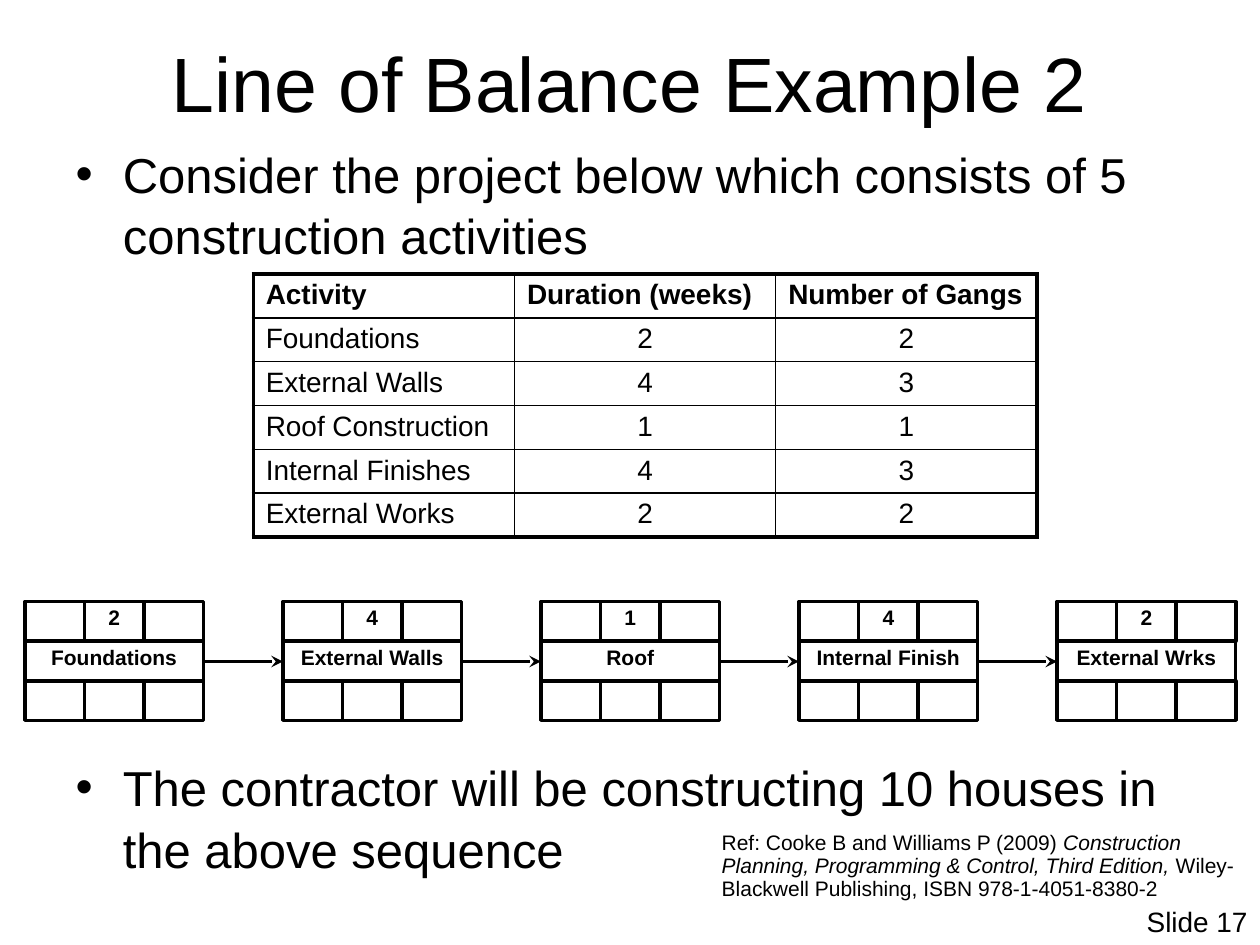
from lxml.etree import SubElement
from pptx import Presentation
from pptx.dml.color import RGBColor
from pptx.enum.shapes import MSO_CONNECTOR, MSO_SHAPE
from pptx.enum.text import MSO_ANCHOR, MSO_AUTO_SIZE, PP_ALIGN
from pptx.oxml.ns import qn
from pptx.util import Inches, Pt

BLACK = RGBColor(0, 0, 0)
COLUMNS, ROWS = 100, 75
SLIDE_WIDTH, SLIDE_HEIGHT = Inches(10), Inches(7.5)

TITLE = {"size": Pt(44)}
BULLET = {"size": Pt(28)}
TABLE_HEAD = {"size": Pt(16), "bold": True}
TABLE_BODY = {"size": Pt(16), "bold": False}
NODE_LABEL = {"size": Pt(12), "bold": True}
REFERENCE = {"size": Pt(12)}
CITED_TITLE = {"size": Pt(12), "italic": True}
SLIDE_NUMBER = {"size": Pt(16)}

SCHEDULE = [
    ("Activity", "Duration (weeks)", "Number of Gangs"),
    ("Foundations", "2", "2"),
    ("External Walls", "4", "3"),
    ("Roof Construction", "1", "1"),
    ("Internal Finishes", "4", "3"),
    ("External Works", "2", "2"),
]
SEQUENCE = [
    ("Foundations", "2"),
    ("External Walls", "4"),
    ("Roof", "1"),
    ("Internal Finish", "4"),
    ("External Wrks", "2"),
]
NODE_LEFT, NODE_TOP, NODE_PITCH = 1.97, 47.75, 20.48
BOX_WIDTH, BOX_HEIGHT = 4.73, 3.14
NODE_WIDTH = 3 * BOX_WIDTH


def across(columns):
    return round(SLIDE_WIDTH * columns / COLUMNS)


def down(rows):
    return round(SLIDE_HEIGHT * rows / ROWS)


def area(left, top, width, height):
    return across(left), down(top), across(width), down(height)


def apply(target, values):
    for name, value in values.items():
        setattr(target, name, value)


def write(paragraph, text, font, **layout):
    run = paragraph.add_run()
    run.text = text
    apply(run.font, {"name": "Arial", **font})
    run.font.color.rgb = BLACK
    apply(paragraph, layout)


def place(placeholder, left, top, width, height, anchor):
    edges = zip(("left", "top", "width", "height"), area(left, top, width, height))
    apply(placeholder, dict(edges))
    frame = placeholder.text_frame
    apply(frame, {"auto_size": MSO_AUTO_SIZE.NONE, "vertical_anchor": anchor})
    return frame


def add_note(slide, bounds, pieces, **layout):
    frame = slide.shapes.add_textbox(*area(*bounds)).text_frame
    frame.word_wrap = True
    for text, font in pieces:
        write(frame.paragraphs[0], text, font, line_spacing=0.9, **layout)


def add_border(cell, side, points):
    border = SubElement(cell._tc.get_or_add_tcPr(), qn(f"a:ln{side}"), w=str(Pt(points)))
    fill = SubElement(border, qn("a:solidFill"))
    SubElement(fill, qn("a:srgbClr"), val=str(BLACK))


def add_schedule(slide):
    last_row, last_column = len(SCHEDULE) - 1, len(SCHEDULE[0]) - 1
    bounds = area(20.1, 21.75, 62.2, 20.88)
    table = slide.shapes.add_table(last_row + 1, last_column + 1, *bounds).table
    apply(table, {"first_row": False, "horz_banding": False})
    for r, entries in enumerate(SCHEDULE):
        for c, text in enumerate(entries):
            cell = table.cell(r, c)
            apply(cell, {"margin_top": down(0.45), "margin_bottom": down(0.45)})
            outer = {"L": c == 0, "R": c == last_column, "T": r == 0, "B": r == last_row}
            for side, is_outer in outer.items():
                add_border(cell, side, 2.25 if is_outer else 1)
            cell.fill.background()
            centred = r > 0 and c > 0
            write(
                cell.text_frame.paragraphs[0],
                text,
                TABLE_BODY if r else TABLE_HEAD,
                alignment=PP_ALIGN.CENTER if centred else PP_ALIGN.LEFT,
            )


def add_box(slide, left, top, width, label=""):
    bounds = area(left, top, width, BOX_HEIGHT)
    box = slide.shapes.add_shape(MSO_SHAPE.RECTANGLE, *bounds)
    box.shadow.inherit = False
    box.fill.background()
    box.line.color.rgb = BLACK
    box.line.width = Pt(2)
    if label:
        frame = box.text_frame
        apply(frame, {"vertical_anchor": MSO_ANCHOR.TOP, "margin_left": 0, "margin_right": 0})
        write(frame.paragraphs[0], label, NODE_LABEL,
              alignment=PP_ALIGN.CENTER, line_spacing=0.9)


def add_node(slide, left, activity, weeks):
    add_box(slide, left, NODE_TOP + BOX_HEIGHT, NODE_WIDTH, activity)
    for row, labels in ((0, ("", weeks, "")), (2, ("", "", ""))):
        for column, label in enumerate(labels):
            add_box(slide, left + column * BOX_WIDTH, NODE_TOP + row * BOX_HEIGHT,
                    BOX_WIDTH, label)


def add_arrow(slide, start, end, level):
    arrow = slide.shapes.add_connector(
        MSO_CONNECTOR.STRAIGHT, across(start), down(level), across(end), down(level)
    )
    arrow.line.color.rgb = BLACK
    arrow.line.width = Pt(2.25)
    SubElement(arrow.line._get_or_add_ln(), qn("a:tailEnd"), type="stealth")
    SubElement(arrow._element.spPr, qn("a:effectLst"))


def add_sequence(slide):
    for index, (activity, weeks) in enumerate(SEQUENCE):
        left = NODE_LEFT + index * NODE_PITCH
        add_node(slide, left, activity, weeks)
        if index:
            add_arrow(slide, left - NODE_PITCH + NODE_WIDTH, left, 52.5)


def main():
    deck = Presentation()
    apply(deck, {"slide_width": SLIDE_WIDTH, "slide_height": SLIDE_HEIGHT})
    slide = deck.slides.add_slide(deck.slide_layouts[1])

    heading = place(slide.shapes.title, 5, 3, 90, 6.9, MSO_ANCHOR.MIDDLE)
    write(heading.paragraphs[0], "Line of Balance Example 2", TITLE,
          alignment=PP_ALIGN.CENTER)

    body = place(slide.placeholders[1], 5, 10.7, 89.9, 62.2, MSO_ANCHOR.TOP)
    write(body.paragraphs[0],
          "Consider the project below which consists of 5 construction activities",
          BULLET, space_before=Pt(0), line_spacing=1.05)
    write(body.add_paragraph(),
          "The contractor will be constructing 10 houses in the above sequence",
          BULLET, space_before=Pt(280), line_spacing=1.05)

    add_schedule(slide)
    add_sequence(slide)
    add_note(slide, (56.3, 65.6, 43.7, 6.5), [
        ("Ref: Cooke B and Williams P (2009)", REFERENCE),
        (" Construction Planning, Programming & Control, Third Edition,", CITED_TITLE),
        (" Wiley-Blackwell Publishing, ISBN 978-1-4051-8380-2", REFERENCE),
    ])
    add_note(slide, (86.2, 71.6, 13.8, 3.4), [("Slide 17", SLIDE_NUMBER)],
             alignment=PP_ALIGN.RIGHT)
    deck.save("out.pptx")


if __name__ == "__main__":
    main()
